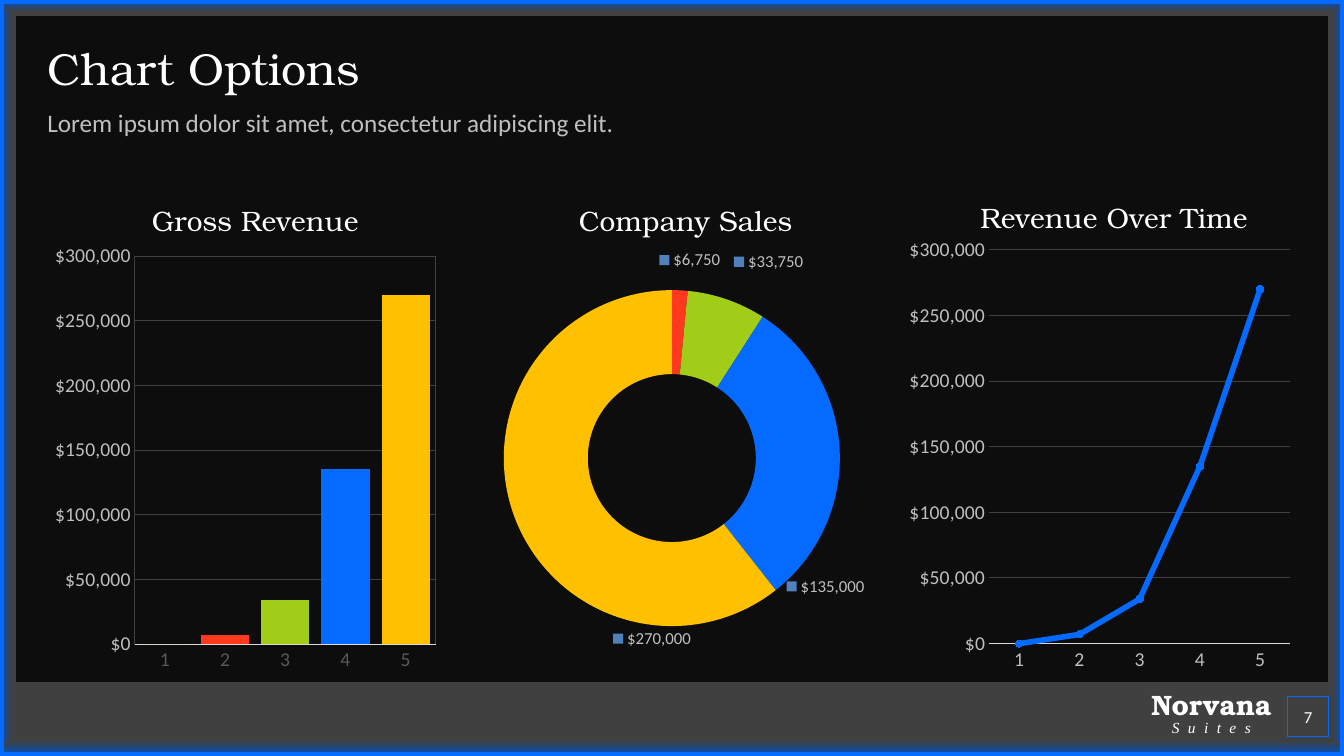
from pptx import Presentation
from pptx.chart.data import CategoryChartData
from pptx.dml.color import RGBColor
from pptx.enum.chart import XL_CHART_TYPE, XL_MARKER_STYLE, XL_TICK_MARK
from pptx.enum.shapes import MSO_SHAPE
from pptx.enum.text import MSO_ANCHOR, PP_ALIGN
from pptx.oxml import parse_xml
from pptx.oxml.ns import nsdecls, qn
from pptx.util import Inches, Pt

COLUMN, RING, LINE = (XL_CHART_TYPE.COLUMN_CLUSTERED, XL_CHART_TYPE.DOUGHNUT,
                      XL_CHART_TYPE.LINE_MARKERS_STACKED)
NO_TICK, CIRCLE = XL_TICK_MARK.NONE, XL_MARKER_STYLE.CIRCLE
RECT, FRAME = MSO_SHAPE.RECTANGLE, MSO_SHAPE.FRAME
CENTER, LEFT, MIDDLE, TOP = PP_ALIGN.CENTER, PP_ALIGN.LEFT, MSO_ANCHOR.MIDDLE, MSO_ANCHOR.TOP

COLORS = {"back": "0D0D0D", "band": "404040", "glow": "004FC3", "blue": "056AFF",
          "white": "FFFFFF", "text": "BFBFBF", "dim": "595959", "axis": "D9D9D9",
          "red": "FF391E", "green": "A1CC18", "gold": "FFC000"}
SERIF, SANS, SCRIPT = "TeX Gyre Bonum", "Calibri", "Times New Roman"
DOLLARS = "[$$-409]#,##0"
CATEGORIES = ["1", "2", "3", "4", "5"]
REVENUE = [0, 7000, 34000, 135000, 270000]
SALES = [0, 6750, 33750, 135000, 270000]
POINT_COLORS = ["green", "red", "green", "blue", "gold"]
# Label shift from the middle of each ring segment, as a share of the chart
LABEL_SHIFTS = {1: (0.03, -0.14), 2: (0.14, -0.15), 3: (0.07, 0.26), 4: (0.25, 0.27)}


def rgb(name):
    return RGBColor.from_string(COLORS[name])


def set_font(font, name, size, color, bold=False, italic=False):
    font.name, font.size, font.bold, font.italic = name, Pt(size), bold, italic
    font.color.rgb = rgb(color)


def set_solid(fill, color):
    fill.solid()
    fill.fore_color.rgb = rgb(color)


def add_shape(slide, kind, box):
    sp = slide.shapes.add_shape(kind, *map(Inches, box))
    sp.shadow.inherit = False
    sp.line.fill.background()
    return sp


def prepare_text(sp, anchor=TOP, align=LEFT, top=0):
    """Wrap the text without side insets and return the first paragraph."""
    tf = sp.text_frame
    tf.word_wrap = True
    tf.vertical_anchor = anchor
    tf.margin_left = tf.margin_right = tf.margin_bottom = 0
    tf.margin_top = Inches(top)
    p = tf.paragraphs[0]
    p.alignment = align
    return p


def add_border(slide, width, height):
    """Glowing edge bands under a thin blue frame."""
    edge, inset = 0.16, 0.1
    side = height - inset - 0.15
    for box, stop, angle in [((0, 6.77, width, height - 6.77), 0.21, 270),
                             ((0, 0, width, edge), 0.72, 90),
                             ((0, inset, edge, side), 0.72, 0),
                             ((width - edge, inset, edge, side), 0.72, 180)]:
        fill = add_shape(slide, RECT, box).fill
        fill.gradient()
        fill.gradient_angle = (360 - angle) % 360
        for gs, color, position in zip(fill.gradient_stops, ("glow", "band"), (0, stop)):
            gs.color.rgb = rgb(color)
            gs.position = position
    frame = add_shape(slide, FRAME, (0, 0, width, height))
    frame.adjustments[0] = 0.04 / height
    set_solid(frame.fill, "blue")


def add_heading(slide, left, top, width):
    for text, dy, height, font, size, color, anchor in [
            ("Chart Options", 0, 0.47, SERIF, 32, "white", MIDDLE),
            ("Lorem ipsum dolor sit amet, consectetur adipiscing elit.",
             0.63, 0.39, SANS, 18, "text", TOP)]:
        sp = slide.shapes.add_textbox(*map(Inches, (left, top + dy, width, height)))
        p = prepare_text(sp, anchor)
        p.text, p.line_spacing = text, 0.9
        set_font(p.font, font, size, color)


def add_footer(slide, left, top):
    sp = slide.shapes.add_textbox(*map(Inches, (left, top, 1.73, 0.47)))
    p = prepare_text(sp, align=CENTER, top=0.16)
    p.line_spacing = Pt(11)
    r = p.add_run()
    r.text = "Norvana"
    set_font(r.font, SERIF, 20, "white", bold=True)
    p.add_line_break()
    r = p.add_run()
    r.text = "Suites"
    set_font(r.font, SCRIPT, 11, "white", italic=True)
    r.font._element.set("spc", "600")

    number = add_shape(slide, RECT, (left + 1.62, top + 0.07, 0.41, 0.4))
    number.fill.background()
    set_solid(number.line.fill, "blue")
    number.line.width = Pt(0.75)
    p = prepare_text(number, MIDDLE, CENTER)
    p.text = "7"
    set_font(p.font, SANS, 12, "white")


def manual_layout(x, y, w=None, h=None):
    """Layout element: with a size for a plot, without for a title."""
    inner = '<c:layoutTarget val="inner"/>' if w else ""
    size = f'<c:w val="{w}"/><c:h val="{h}"/>' if w else ""
    return parse_xml(f'<c:layout {nsdecls("c")}><c:manualLayout>{inner}<c:xMode val="edge"/>'
                     f'<c:yMode val="edge"/><c:x val="{x}"/><c:y val="{y}"/>{size}'
                     '</c:manualLayout></c:layout>')


def set_layout(parent, layout, index):
    old = parent.find(qn("c:layout"))
    if old is not None:
        parent.remove(old)
    parent.insert(index, layout)


def add_chart(slide, box, kind, title, values, title_at, plot_box):
    data = CategoryChartData(number_format=DOLLARS)
    data.categories = CATEGORIES
    data.add_series("Series 1", values)
    chart = slide.shapes.add_chart(kind, *map(Inches, box), data).chart
    chart.has_legend = False
    chart.font.name, chart.font.size = SANS, Pt(10)
    p = chart.chart_title.text_frame.paragraphs[0]
    p.text = title
    set_font(p.font, SERIF, 20, "white")
    set_layout(chart.chart_title._element, manual_layout(*title_at), 1)
    set_layout(chart._chartSpace.chart.plotArea, manual_layout(*plot_box), 0)
    chart.plots[0].vary_by_categories = False
    return chart


def style_axes(chart, category_color):
    for axis, color in ((chart.category_axis, category_color), (chart.value_axis, "text")):
        axis.major_tick_mark = axis.minor_tick_mark = NO_TICK
        set_font(axis.tick_labels.font, SANS, 14, color)
    line = chart.category_axis.format.line
    set_solid(line.fill, "axis")
    line.width = Pt(0.75)
    axis = chart.value_axis
    axis.minimum_scale, axis.maximum_scale, axis.major_unit = 0, 300000, 50000
    axis.tick_labels.number_format = DOLLARS
    axis.tick_labels.number_format_is_linked = False
    axis.format.line.fill.background()
    grid = axis.major_gridlines.format.line
    set_solid(grid.fill, "band")
    grid.width = Pt(0.75)


def color_points(series):
    for i, color in enumerate(POINT_COLORS):
        set_solid(series.points[i].format.fill, color)


def add_revenue_columns(slide, box):
    chart = add_chart(slide, box, COLUMN, "Gross Revenue", REVENUE,
                      (0.25, 0.05), (0.22, 0.174, 0.758, 0.752))
    style_axes(chart, "dim")
    chart.plots[0].gap_width = 25
    color_points(chart.series[0])
    chart._chartSpace.chart.plotArea.append(parse_xml(
        f'<c:spPr {nsdecls("c", "a")}><a:noFill/><a:ln w="9525"><a:solidFill>'
        f'<a:srgbClr val="{COLORS["band"]}"/></a:solidFill></a:ln></c:spPr>'))


def add_sales_ring(slide, box):
    chart = add_chart(slide, box, RING, "Company Sales", SALES,
                      (0.25, 0.05), (0.074, 0.24, 0.846, 0.651))
    series = chart.series[0]
    color_points(series)
    style = (f'<c:numFmt formatCode="{DOLLARS}" sourceLinked="0"/><c:spPr><a:noFill/></c:spPr>'
             '<c:txPr><a:bodyPr/><a:p><a:pPr><a:defRPr sz="1200"><a:solidFill>'
             f'<a:srgbClr val="{COLORS["text"]}"/></a:solidFill><a:latin typeface="{SANS}"/>'
             '</a:defRPr></a:pPr><a:endParaRPr lang="en-US"/></a:p></c:txPr>'
             '<c:showLegendKey val="1"/><c:showVal val="1"/><c:showCatName val="0"/>'
             '<c:showSerName val="0"/><c:showPercent val="0"/><c:showBubbleSize val="0"/>')
    labels = "".join(
        f'<c:dLbl><c:idx val="{i}"/><c:layout><c:manualLayout><c:x val="{x}"/>'
        f'<c:y val="{y}"/></c:manualLayout></c:layout>{style}</c:dLbl>'
        for i, (x, y) in LABEL_SHIFTS.items())
    series._element.find(qn("c:cat")).addprevious(parse_xml(
        f'<c:dLbls {nsdecls("c", "a")}><c:dLbl><c:idx val="0"/><c:delete val="1"/></c:dLbl>'
        f'{labels}{style}<c:showLeaderLines val="0"/></c:dLbls>'))


def add_revenue_line(slide, box):
    chart = add_chart(slide, box, LINE, "Revenue Over Time", REVENUE,
                      (0.186, 0.045), (0.221, 0.162, 0.758, 0.763))
    style_axes(chart, "text")
    series = chart.series[0]
    series.smooth = False
    set_solid(series.format.line.fill, "blue")
    series.format.line.width = Pt(4)
    series.marker.style, series.marker.size = CIRCLE, 5
    set_solid(series.marker.format.fill, "blue")
    set_solid(series.marker.format.line.fill, "blue")


def main():
    prs = Presentation()
    width, height = 13.33, 7.5
    prs.slide_width, prs.slide_height = Inches(width), Inches(height)
    slide = prs.slides.add_slide(prs.slide_layouts[6])
    set_solid(slide.background.fill, "back")
    add_border(slide, width, height)
    add_heading(slide, 0.47, 0.47, 12.4)
    add_footer(slide, 11.15, 6.84)
    for i, add_panel in enumerate((add_revenue_columns, add_sales_ring, add_revenue_line)):
        add_panel(slide, (0.47 + i * 4.235, 1.65, 3.94, 5.12))
    prs.save("out.pptx")


if __name__ == "__main__":
    main()
